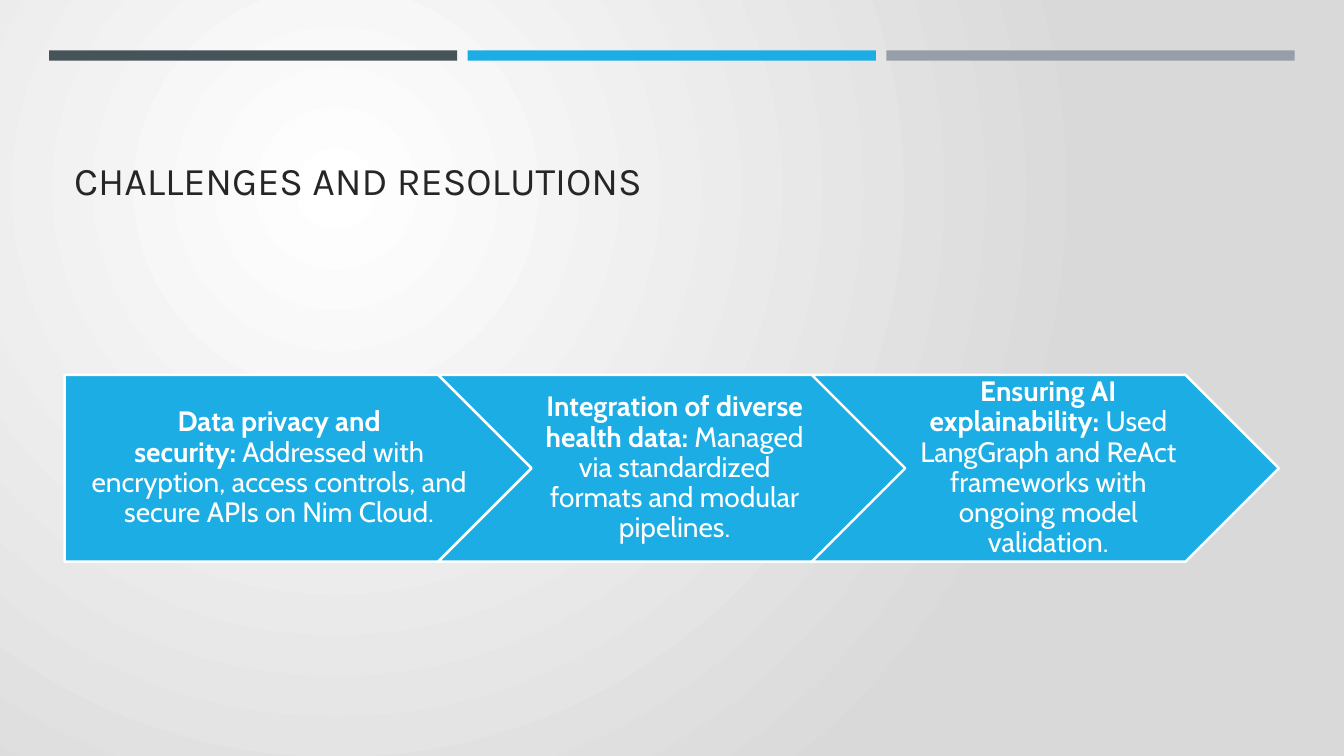
from lxml.etree import SubElement
from pptx import Presentation
from pptx.dml.color import RGBColor
from pptx.enum.shapes import MSO_SHAPE
from pptx.enum.text import MSO_ANCHOR, PP_ALIGN
from pptx.oxml.ns import qn
from pptx.util import Pt

TITLE = "CHALLENGES AND RESOLUTIONS"
CHALLENGES = [
    ("Data privacy and security:",
     "Addressed with encryption, access controls, and secure APIs on Nim Cloud."),
    ("Integration of diverse health data:",
     "Managed via standardized formats and modular pipelines."),
    ("Ensuring AI explainability:",
     "Used LangGraph and ReAct frameworks with ongoing model validation."),
]
NO_BREAK_SPACE = chr(160)
BAR_COLORS = ["465359", "1CADE4", "969FA7"]
BACKGROUND = ["FFFFFF", "D9D9D9"]
BLUE, WHITE, INK = "1CADE4", "FFFFFF", "262626"

BAR_LEFT, BAR_TOP, BAR_WIDTH, BAR_HEIGHT, BAR_STEP = 35, 36, 291.6, 7.4, 299.1
ARROW_LEFT, ARROW_TOP, ARROW_WIDTH, ARROW_HEIGHT = 46.1, 267.8, 333.6, 133.4
ARROW_STEP = 266.9


def rgb(value):
    return RGBColor.from_string(value)


def paint_background(slide):
    """Radial gradient centred a quarter of the way in from the top left."""
    fill = slide.background.fill
    fill.gradient()
    for stop, color in zip(fill.gradient_stops, BACKGROUND):
        stop.color.rgb = rgb(color)
    gradient = slide.element.find(".//" + qn("a:gradFill"))
    gradient.remove(gradient.find(qn("a:lin")))
    circle = SubElement(gradient, qn("a:path"), {"path": "circle"})
    SubElement(circle, qn("a:fillToRect"),
               {"l": "50000", "t": "50000", "r": "100000", "b": "100000"})


def add_block(slide, preset, left, top, width, height, color):
    block = slide.shapes.add_shape(preset, Pt(left), Pt(top), Pt(width), Pt(height))
    block.shadow.inherit = False
    block.fill.solid()
    block.fill.fore_color.rgb = rgb(color)
    block.line.fill.background()
    return block


def add_text(paragraph, words, font, size, color, bold=False):
    run = paragraph.add_run()
    run.text = words
    run.font.name = font
    run.font.size = Pt(size)
    run.font.bold = bold
    run.font.color.rgb = rgb(color)


def add_title(slide):
    title = slide.shapes.title
    title.left, title.top, title.width, title.height = Pt(45.8), Pt(55.4), Pt(868.4), Pt(93.6)
    title.text_frame.vertical_anchor = MSO_ANCHOR.BOTTOM
    heading = title.text_frame.paragraphs[0]
    heading.alignment = PP_ALIGN.LEFT
    add_text(heading, TITLE, "Karla", 28, INK)


def add_challenge(slide, index, challenge, resolution):
    first = index == 0
    arrow = add_block(slide, MSO_SHAPE.PENTAGON if first else MSO_SHAPE.CHEVRON,
                      ARROW_LEFT + index * ARROW_STEP, ARROW_TOP,
                      ARROW_WIDTH, ARROW_HEIGHT, BLUE)
    arrow.line.color.rgb = rgb(WHITE)
    arrow.line.width = Pt(1.75)
    frame = arrow.text_frame
    frame.word_wrap = True
    frame.vertical_anchor = MSO_ANCHOR.MIDDLE
    frame.margin_left = Pt(8.4 if first else 6.3)
    frame.margin_right = Pt(2.1)
    frame.margin_top = frame.margin_bottom = Pt(4.2)
    paragraph = frame.paragraphs[0]
    paragraph.alignment = PP_ALIGN.CENTER
    paragraph.line_spacing = 0.9
    add_text(paragraph, challenge, "Cabin", 20, WHITE, bold=True)
    add_text(paragraph, NO_BREAK_SPACE + resolution, "Cabin", 20, WHITE)


def main():
    deck = Presentation()
    deck.slide_width, deck.slide_height = Pt(960), Pt(540)
    slide = deck.slides.add_slide(deck.slide_layouts[5])
    paint_background(slide)
    for index, color in enumerate(BAR_COLORS):
        add_block(slide, MSO_SHAPE.RECTANGLE, BAR_LEFT + index * BAR_STEP, BAR_TOP,
                  BAR_WIDTH, BAR_HEIGHT, color)
    add_title(slide)
    for index, (challenge, resolution) in enumerate(CHALLENGES):
        add_challenge(slide, index, challenge, resolution)
    deck.save("out.pptx")


if __name__ == "__main__":
    main()
